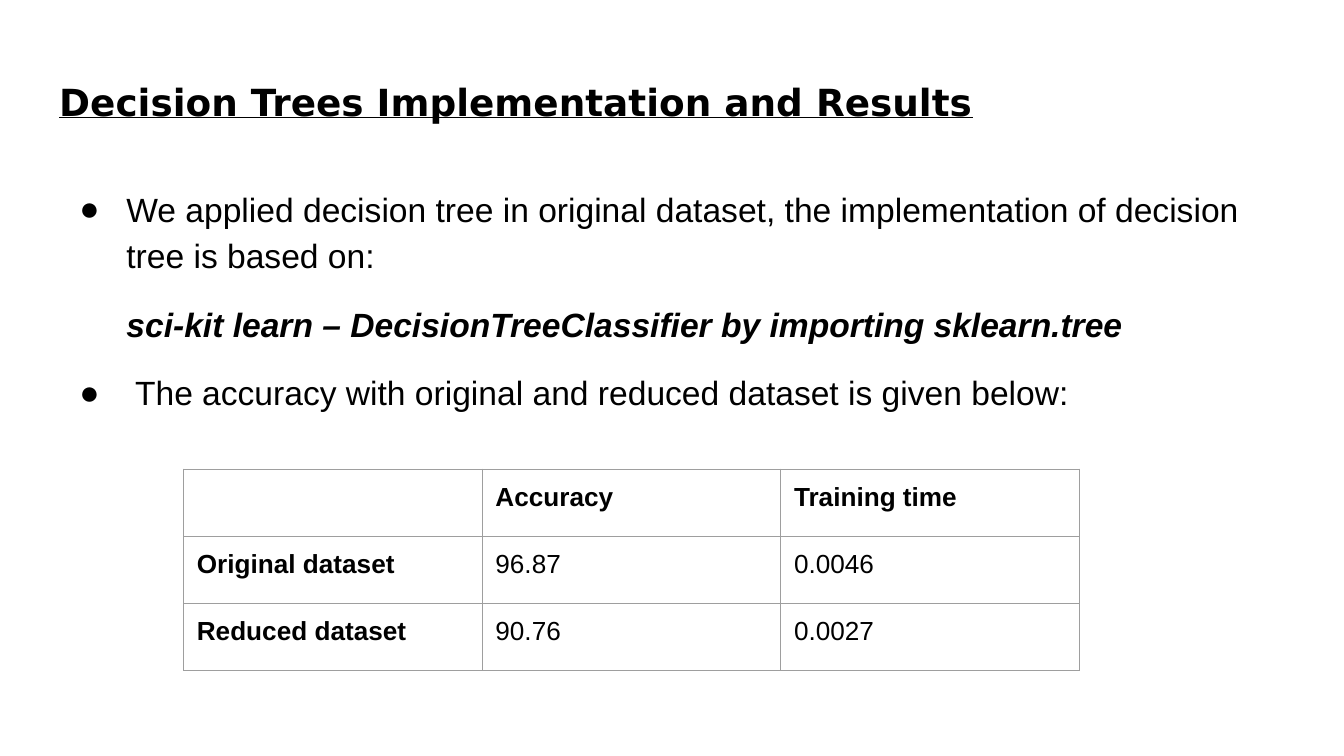
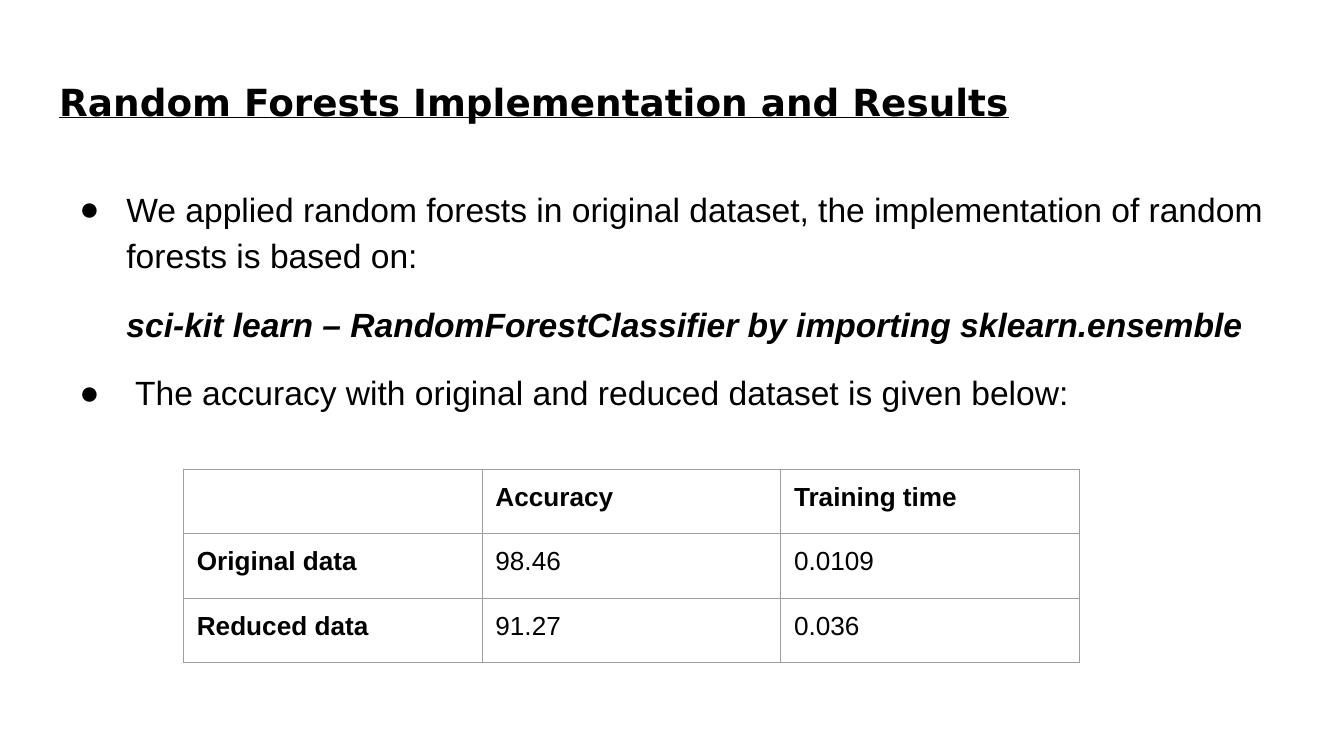
from lxml import etree
from pptx import Presentation
from pptx.dml.color import RGBColor
from pptx.enum.text import MSO_ANCHOR
from pptx.oxml.ns import qn
from pptx.util import Cm, Pt

TOP = MSO_ANCHOR.TOP
COLORS = {"text": "000000", "page": "FFFFFF", "grid": "9E9E9E"}
HEAD, BODY = "DejaVu Sans", "Arial"
PAD = Cm(0.25)
LEFT, WIDE = Cm(0.87), Cm(23.67)

SLIDES = [
    {
        "title": "Decision Trees Implementation and Results",
        "lead": "We applied decision tree in original dataset, "
                "the implementation of decision tree is based on:",
        "code": "sci-kit learn – DecisionTreeClassifier by importing sklearn.tree",
        "row": Cm(1.27),
        "data": [["", "Accuracy", "Training time"],
                 ["Original dataset", "96.87", "0.0046"],
                 ["Reduced dataset", "90.76", "0.0027"]],
    },
    {
        "title": "Random Forests Implementation and Results",
        "lead": "We applied random forests in original dataset, "
                "the implementation of random forests is based on:",
        "code": "sci-kit learn – RandomForestClassifier by importing sklearn.ensemble",
        "row": Cm(1.22),
        "data": [["", "Accuracy", "Training time"],
                 ["Original data", "98.46", "0.0109"],
                 ["Reduced data", "91.27", "0.036"]],
    },
]
CLOSE = " The accuracy with original and reduced dataset is given below:"


def solid(node, color):
    fill = etree.SubElement(node, qn("a:solidFill"))
    etree.SubElement(fill, qn("a:srgbClr"), val=COLORS[color])


class Deck:
    def __init__(self):
        self.prs = Presentation()
        self.prs.slide_width = Cm(25.4)
        self.prs.slide_height = Cm(14.29)
        self.slide = None

    def page(self):
        self.slide = self.prs.slides.add_slide(self.prs.slide_layouts[6])
        fill = self.slide.background.fill
        fill.solid()
        fill.fore_color.rgb = RGBColor.from_string(COLORS["page"])

    def font(self, para, name, size, bold=False, italic=False, under=False):
        font = para.font
        font.name, font.size = name, Pt(size)
        font.bold, font.italic, font.underline = bold, italic, under
        font.color.rgb = RGBColor.from_string(COLORS["text"])

    def box(self, top, high):
        frame = self.slide.shapes.add_textbox(LEFT, top, WIDE, high).text_frame
        frame.word_wrap = True
        frame.vertical_anchor = TOP
        frame.margin_left = frame.margin_right = PAD
        frame.margin_top = frame.margin_bottom = PAD
        return frame

    def title(self, text):
        para = self.box(Cm(1.24), Cm(1.6)).paragraphs[0]
        para.text = text
        self.font(para, HEAD, 20, bold=True, under=True)

    def indent(self, para, bullet):
        props = para._p.get_or_add_pPr()
        props.set("marL", str(Cm(1.27)))
        props.set("indent", str(-Cm(0.89) if bullet else 0))
        if bullet:
            tint = etree.SubElement(props, qn("a:buClr"))
            etree.SubElement(tint, qn("a:srgbClr"), val=COLORS["text"])
            etree.SubElement(props, qn("a:buFont"), typeface=BODY)
            etree.SubElement(props, qn("a:buChar"), char="●")
        else:
            etree.SubElement(props, qn("a:buNone"))

    def body(self, lead, code):
        frame = self.box(Cm(3.2), Cm(9.5))
        for num, text in enumerate([lead, code, CLOSE]):
            para = frame.add_paragraph() if num else frame.paragraphs[0]
            para.text = text
            para.line_spacing = 1.15
            if num:
                para.space_before = Pt(12)
            strong = text == code
            self.indent(para, not strong)
            self.font(para, BODY, 18, bold=strong, italic=strong)

    def cell(self, cell, text, bold):
        cell.margin_left = cell.margin_right = PAD
        cell.margin_top = cell.margin_bottom = PAD
        props = cell._tc.get_or_add_tcPr()
        for side in ("a:lnL", "a:lnR", "a:lnT", "a:lnB"):
            solid(etree.SubElement(props, qn(side), w=str(Pt(0.75))), "grid")
        cell.fill.background()
        para = cell.text_frame.paragraphs[0]
        if text:
            para.text = text
        self.font(para, BODY, 14, bold=bold)

    def table(self, data, high):
        rows, cols = len(data), len(data[0])
        table = self.slide.shapes.add_table(
            rows, cols, Cm(3.47), Cm(8.87), Cm(16.93), high * rows).table
        table.first_row = table.horz_banding = False
        for r, line in enumerate(data):
            for c, text in enumerate(line):
                self.cell(table.cell(r, c), text, r == 0 or c == 0)


def main():
    deck = Deck()
    for item in SLIDES:
        deck.page()
        deck.title(item["title"])
        deck.body(item["lead"], item["code"])
        deck.table(item["data"], item["row"])
    deck.prs.save("out.pptx")


if __name__ == "__main__":
    main()
